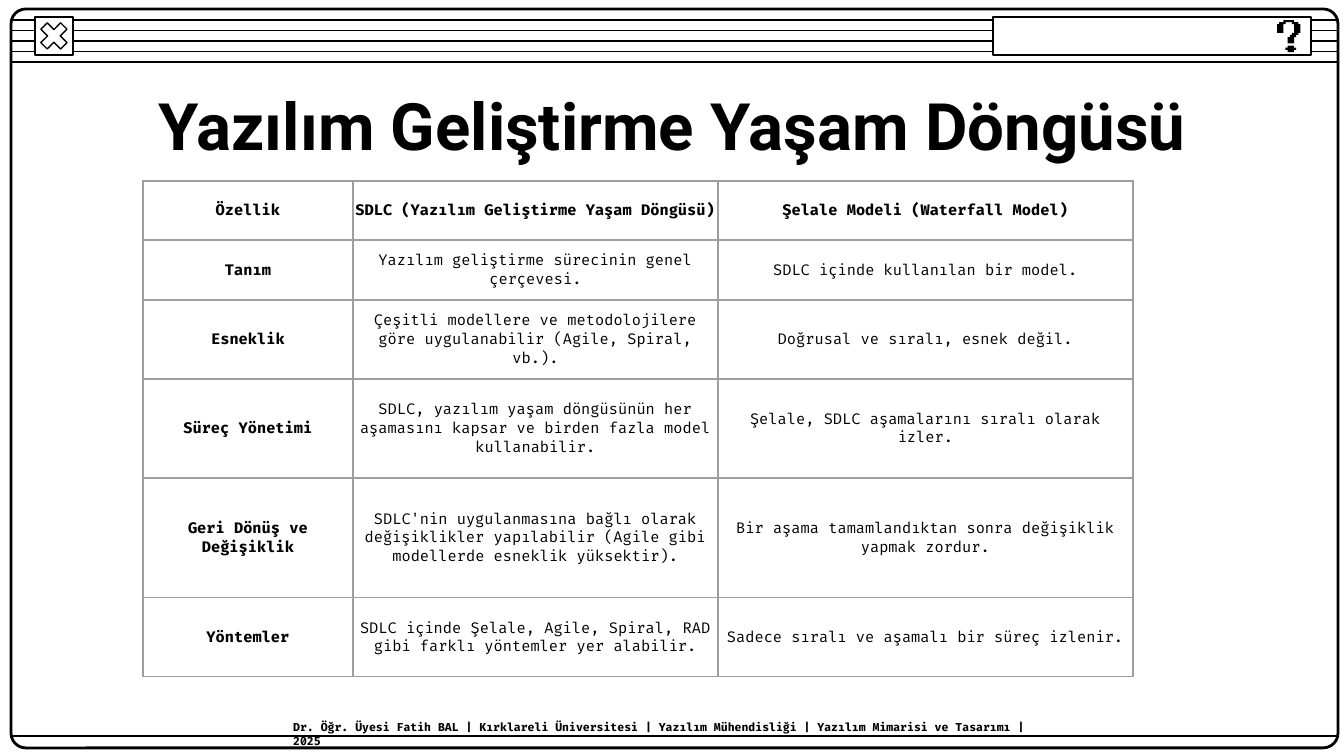
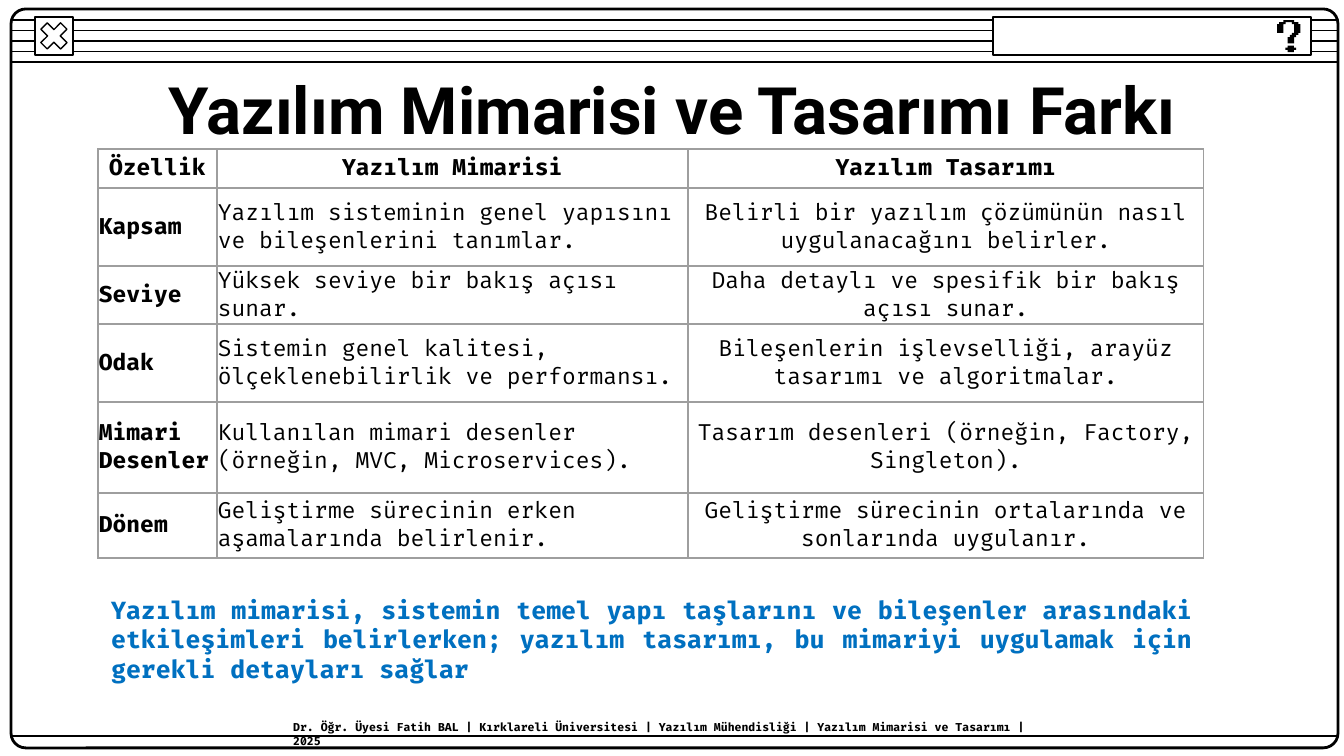
import pptx
import pptx.dml.color
import pptx.enum.shapes
import pptx.enum.text
import pptx.oxml.ns
import pptx.util
from lxml import etree

EMU_PER_PX = 914400 / 134.4
SLIDE_SIZE = (1344, 756)
FRAME = (11, 9, 1327, 739)
TITLE_FONT, BODY_FONT = "Roboto", "Fira Code"
COLORS = {"ink": "000000", "paper": "FFFFFF", "grid": "9E9E9E", "accent": "0070C0"}
FOOTER = (
    "Dr. Öğr. Üyesi Fatih BAL | Kırklareli Üniversitesi | Yazılım Mühendisliği"
    " | Yazılım Mimarisi ve Tasarımı | 2025"
)

# Outlines of the pixel-style question mark, in cells of an 11 x 15 grid.
MARK_ROWS = 15
MARK_HOOK = [
    (3, 0), (3, 1), (1, 1), (1, 2), (0, 2), (0, 6), (3, 6), (3, 2),
    (4, 2), (4, 1), (7, 1), (7, 2), (8, 2), (8, 6), (7, 6), (7, 7),
    (6, 7), (6, 8), (5, 8), (5, 11), (8, 11), (8, 8), (9, 8), (9, 7),
    (10, 7), (10, 6), (11, 6), (11, 2), (10, 2), (10, 1), (8, 1), (8, 0),
]
MARK_DOT = [
    (5, 12), (5, 13), (4, 13), (4, 14), (5, 14), (5, 15),
    (8, 15), (8, 14), (9, 14), (9, 13), (8, 13), (8, 12),
]

LIFECYCLE_ROWS = [
    ("Özellik", "SDLC (Yazılım Geliştirme Yaşam Döngüsü)", "Şelale Modeli (Waterfall Model)"),
    ("Tanım", "Yazılım geliştirme sürecinin genel çerçevesi.",
     "SDLC içinde kullanılan bir model."),
    ("Esneklik",
     "Çeşitli modellere ve metodolojilere göre uygulanabilir (Agile, Spiral, vb.).",
     "Doğrusal ve sıralı, esnek değil."),
    ("Süreç Yönetimi",
     "SDLC, yazılım yaşam döngüsünün her aşamasını kapsar ve birden fazla model kullanabilir.",
     "Şelale, SDLC aşamalarını sıralı olarak izler."),
    ("Geri Dönüş ve Değişiklik",
     "SDLC'nin uygulanmasına bağlı olarak değişiklikler yapılabilir"
     " (Agile gibi modellerde esneklik yüksektir).",
     "Bir aşama tamamlandıktan sonra değişiklik yapmak zordur."),
    ("Yöntemler",
     "SDLC içinde Şelale, Agile, Spiral, RAD gibi farklı yöntemler yer alabilir.",
     "Sadece sıralı ve aşamalı bir süreç izlenir."),
]
DIFFERENCE_ROWS = [
    ("Özellik", "Yazılım Mimarisi", "Yazılım Tasarımı"),
    ("Kapsam", "Yazılım sisteminin genel yapısını ve bileşenlerini tanımlar.",
     "Belirli bir yazılım çözümünün nasıl uygulanacağını belirler."),
    ("Seviye", "Yüksek seviye bir bakış açısı sunar.",
     "Daha detaylı ve spesifik bir bakış açısı sunar."),
    ("Odak", "Sistemin genel kalitesi, ölçeklenebilirlik ve performansı.",
     "Bileşenlerin işlevselliği, arayüz tasarımı ve algoritmalar."),
    ("Mimari Desenler", "Kullanılan mimari desenler (örneğin, MVC, Microservices).",
     "Tasarım desenleri (örneğin, Factory, Singleton)."),
    ("Dönem", "Geliştirme sürecinin erken aşamalarında belirlenir.",
     "Geliştirme sürecinin ortalarında ve sonlarında uygulanır."),
]
TAKEAWAY = (
    "Yazılım mimarisi, sistemin temel yapı taşlarını ve bileşenler arasındaki etkileşimleri"
    " belirlerken; yazılım tasarımı, bu mimariyi uygulamak için gerekli detayları sağlar"
)

ALIGN = pptx.enum.text.PP_ALIGN
PRESET = pptx.enum.shapes.MSO_SHAPE


def px(length):
    return pptx.util.Emu(round(length * EMU_PER_PX))


def px_box(box):
    return [px(length) for length in box]


def rgb(name):
    return pptx.dml.color.RGBColor.from_string(COLORS[name])


def write(frame, text, size, align=ALIGN.LEFT, bold=True, font=BODY_FONT, color="ink"):
    frame.text = text
    paragraph = frame.paragraphs[0]
    paragraph.alignment = align
    style = paragraph.runs[0].font
    style.name, style.size, style.bold = font, pptx.util.Pt(size), bold
    style.color.rgb = rgb(color)


def add_rule(slide, left, right, y):
    """Draw a thin horizontal line."""
    rule = slide.shapes.add_connector(
        pptx.enum.shapes.MSO_CONNECTOR.STRAIGHT, px(left), px(y), px(right), px(y))
    rule.line.color.rgb = rgb("ink")
    rule.line.width = pptx.util.Pt(0.75)
    etree.SubElement(
        rule._element.spPr, pptx.oxml.ns.qn("a:effectLst"))


def add_outlined(slide, preset, box, line_width=0.75, filled=True):
    shape = slide.shapes.add_shape(preset, *px_box(box))
    shape.shadow.inherit = False
    if filled:
        shape.fill.solid()
        shape.fill.fore_color.rgb = rgb("paper")
    else:
        shape.fill.background()
    shape.line.color.rgb = rgb("ink")
    shape.line.width = pptx.util.Pt(line_width)
    return shape


def add_question_mark(slide, box):
    left, top, _, height = box
    for outline in (MARK_HOOK, MARK_DOT):
        builder = slide.shapes.build_freeform(*outline[0], scale=px(height) / MARK_ROWS)
        builder.add_line_segments(outline[1:], close=True)
        part = builder.convert_to_shape(px(left), px(top))
        part.shadow.inherit = False
        part.fill.solid()
        part.fill.fore_color.rgb = rgb("ink")
        part.line.fill.background()


def add_window(slide, box):
    """Draw the window frame with its striped title bar and buttons."""
    left, top, width, height = box
    right = left + width
    stripes, bar_top, bar_height = 5, top + 11, 42
    for i in range(stripes):
        add_rule(slide, left, right, bar_top + bar_height * i / (stripes - 1))
    frame = add_outlined(slide, PRESET.ROUNDED_RECTANGLE, box, line_width=1.5, filled=False)
    frame.adjustments[0] = 0.02

    close_box = (left + 24, top + 8, 38, 38)
    add_outlined(slide, PRESET.RECTANGLE, close_box)
    add_outlined(slide, PRESET.MATH_MULTIPLY, close_box)
    add_rule(slide, left, right, top + height - 12)
    add_outlined(slide, PRESET.RECTANGLE, (right - 345, top + 8, 318, 38))
    add_question_mark(slide, (right - 61, top + 11, 23, 32))


def add_title(slide, text, box):
    title = slide.shapes.title
    title.left, title.top, title.width, title.height = px_box(box)
    frame = title.text_frame
    frame.auto_size = pptx.enum.text.MSO_AUTO_SIZE.NONE
    frame.word_wrap = True
    frame.vertical_anchor = pptx.enum.text.MSO_ANCHOR.MIDDLE
    frame.margin_left = frame.margin_right = px(13)
    frame.margin_top = frame.margin_bottom = px(13)
    write(frame, text, 35, ALIGN.CENTER, font=TITLE_FONT)


def add_text(slide, text, box, size, **style):
    frame = slide.shapes.add_textbox(*px_box(box)).text_frame
    frame.word_wrap = True
    write(frame, text, size, **style)


def set_borders(cell):
    properties = cell._tc.get_or_add_tcPr()
    for side in ("lnL", "lnR", "lnT", "lnB"):
        border = etree.SubElement(
            properties, pptx.oxml.ns.qn(f"a:{side}"), w=str(pptx.util.Pt(0.75)))
        fill = etree.SubElement(border, pptx.oxml.ns.qn("a:solidFill"))
        etree.SubElement(fill, pptx.oxml.ns.qn("a:srgbClr"), val=COLORS["grid"])


def add_comparison(slide, rows, origin, widths, heights, size, left_columns=0):
    """Add a table whose first left_columns columns are left-aligned below the header."""
    table = slide.shapes.add_table(
        len(rows), len(widths), *px_box((*origin, sum(widths), sum(heights)))).table
    table.first_row = table.horz_banding = False
    for column, width in zip(table.columns, widths):
        column.width = px(width)
    for table_row, height in zip(table.rows, heights):
        table_row.height = px(height)
    for r, row in enumerate(rows):
        for c, text in enumerate(row):
            cell = table.cell(r, c)
            set_borders(cell)
            cell.fill.background()
            cell.vertical_anchor = pptx.enum.text.MSO_ANCHOR.MIDDLE
            cell.margin_left = cell.margin_right = cell.margin_top = px(1)
            cell.margin_bottom = 0
            align = ALIGN.LEFT if r > 0 and c < left_columns else ALIGN.CENTER
            write(cell.text_frame, text, size, align, bold=r == 0 or c == 0)


def new_slide(deck, title, title_height):
    slide = deck.slides.add_slide(deck.slide_layouts[5])
    add_window(slide, FRAME)
    add_title(slide, title, (106, 66, 1133, title_height))
    add_text(slide, FOOTER, (280, 714, 786, 27), 6)
    return slide


def add_lifecycle_slide(deck):
    slide = new_slide(deck, "Yazılım Geliştirme Yaşam Döngüsü", 116)
    add_comparison(slide, LIFECYCLE_ROWS, (143, 181), (210, 365, 415),
                   (59, 60, 79, 99, 120, 79), 8)


def add_difference_slide(deck):
    slide = new_slide(deck, "Yazılım Mimarisi ve Tasarımı Farkı", 85)
    add_comparison(slide, DIFFERENCE_ROWS, (98, 149), (119, 471, 516),
                   (39, 78, 58, 78, 91, 65), 12, left_columns=2)
    add_text(slide, TAKEAWAY, (98, 589, 1106, 102), 13, align=ALIGN.JUSTIFY, color="accent")


def main():
    deck = pptx.Presentation()
    deck.slide_width, deck.slide_height = px_box(SLIDE_SIZE)
    add_lifecycle_slide(deck)
    add_difference_slide(deck)
    deck.save("out.pptx")


if __name__ == "__main__":
    main()
